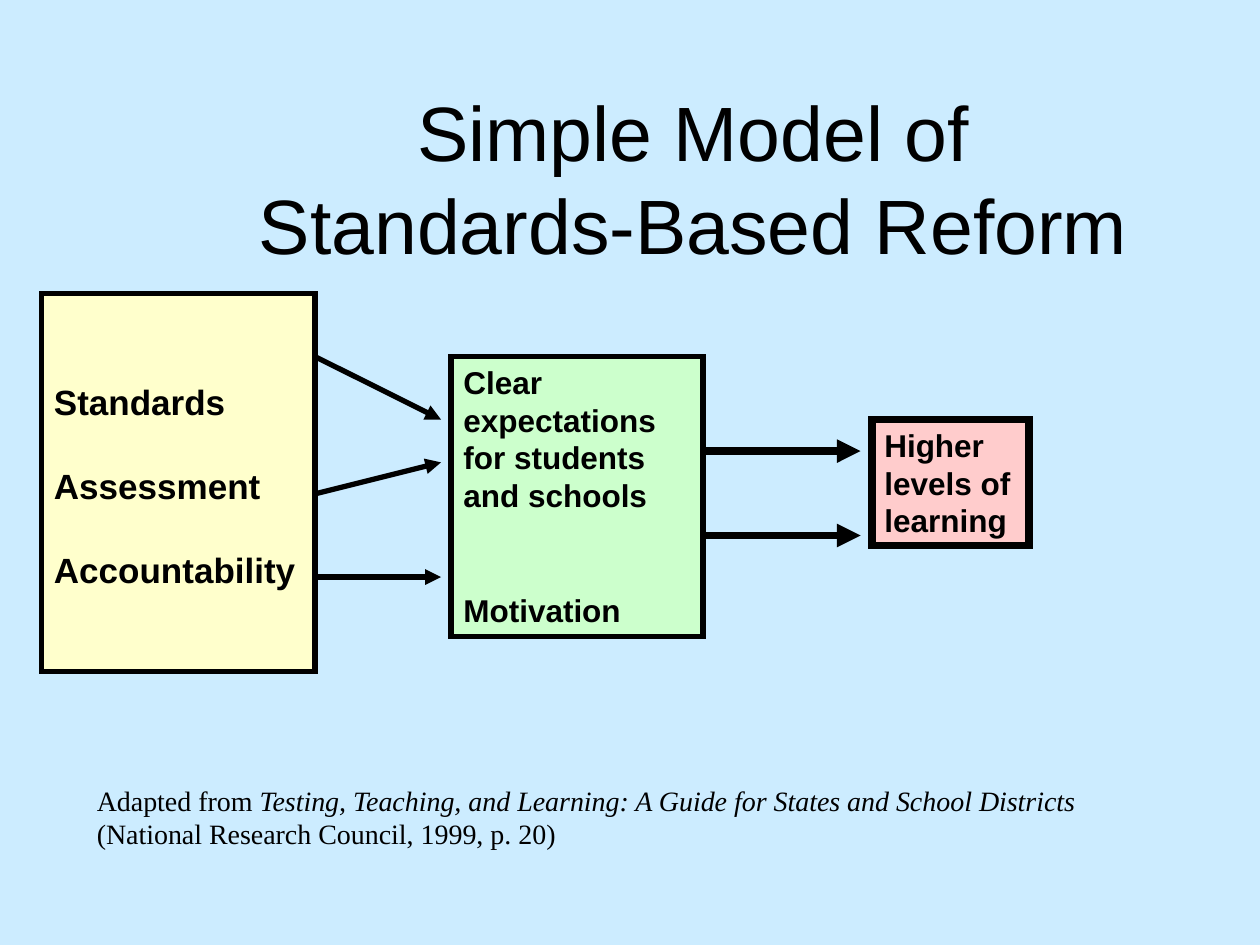
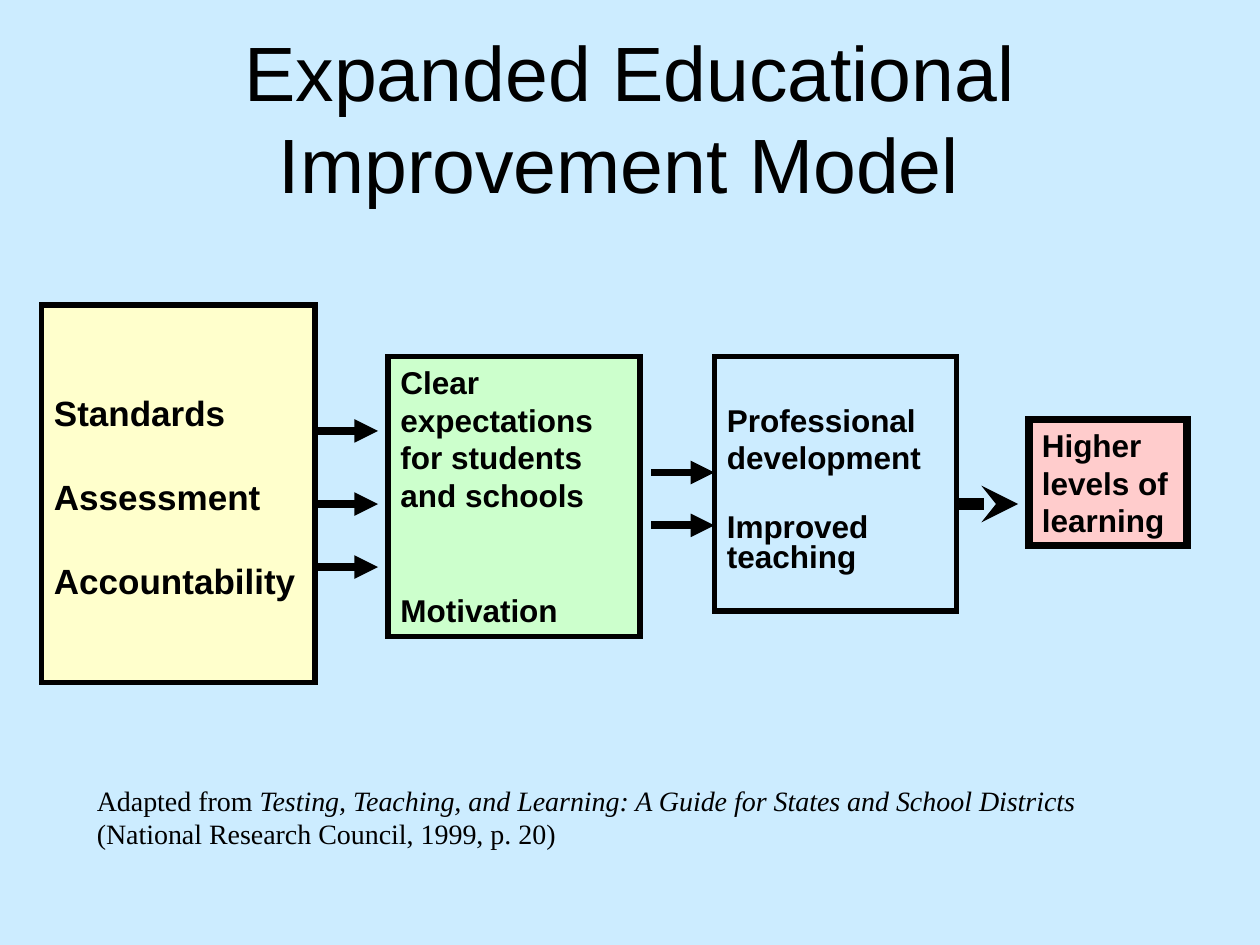
from lxml import etree
from pptx import Presentation
from pptx import util as u
from pptx.dml.color import RGBColor
from pptx.enum import shapes, text
from pptx.oxml.ns import qn

SKY, BLACK = "CCECFF", "000000"
YELLOW, GREEN, PINK = "FFFFCC", "CCFFCC", "FFCCCC"
TITLE = {"name": "Arial", "size": u.Pt(44), "bold": False}
LARGE = {"name": "Arial", "size": u.Pt(20), "bold": True}
BODY = {"name": "Arial", "size": u.Pt(18), "bold": True}
SOURCE = {"name": "Times New Roman", "size": u.Pt(16), "bold": False}


def paint(color, value):
    color.rgb = RGBColor.from_string(value)


def write(sp, paragraphs, fmt, top=0.05, leading=None):
    tf = sp.text_frame
    frame = {"word_wrap": True, "auto_size": text.MSO_AUTO_SIZE.NONE,
             "margin_left": u.Inches(0.1), "margin_right": u.Inches(0.1),
             "margin_top": u.Inches(top), "margin_bottom": u.Inches(0.05)}
    for key, value in frame.items():
        setattr(tf, key, value)
    for i, (runs, before, scale) in enumerate(paragraphs):
        p = tf.paragraphs[0] if i == 0 else tf.add_paragraph()
        p.alignment = text.PP_ALIGN.LEFT
        p.space_before = u.Pt(before)
        p.line_spacing = u.Pt(round((leading or fmt["size"].pt * 1.2) * scale, 1))
        for words, italic in runs:
            for n, line in enumerate(words.split("\n")):
                if n:
                    p.add_line_break()
                r = p.add_run()
                r.text = line
                r.font.italic = italic
                for key, value in fmt.items():
                    setattr(r.font, key, value)
                paint(r.font.color, BLACK)


inputs = [([("Standards", False)], 0, 1), ([("Assessment", False)], 24, 1),
          ([("Accountability", False)], 24, 1)]
effects = [([("Clear expectations for students and schools", False)], 0, 1),
           ([("Motivation", False)], 44, 1)]
practice = [([("Professional development", False)], 0, 1),
            ([("Improved teaching", False)], 21.6, 0.8)]
outcome = [([("Higher levels of learning", False)], 0, 1)]
source = [([("Adapted from ", False),
            ("Testing, Teaching, and Learning: A Guide for States and School Districts", True),
            (" (National Research Council, 1999, p. 20)", False)], 0, 1)]

slides = [
    {"title": "Simple Model of \nStandards-Based Reform ",
     "at": (1.33, 0.42, 8.52, 1.25), "title_top": 0.77,
     "boxes": [
         (0.33, 2.33, 2.17, 3, YELLOW, 3, inputs, LARGE, 0.69),
         (3.58, 2.83, 2, 2.22, GREEN, 3, effects, BODY, 0.05),
         (6.92, 3.33, 1.25, 1, PINK, 4.5, outcome, BODY, 0.05)],
     "arrows": [
         (2.5, 2.83, 3.5, 3.33, 3, "triangle"),
         (2.5, 3.92, 3.5, 3.67, 3, "triangle"),
         (2.5, 4.58, 3.5, 4.58, 3, "triangle")]
     + [(5.58, y, 6.83, y, 4.5, "triangle") for y in (3.58, 4.25)]},
    {"title": "Expanded Educational Improvement Model ",
     "at": (0.5, 0.3, 9, 1.25), "title_top": 0.05,
     "boxes": [
         (0.33, 2.42, 2.17, 3, YELLOW, 3, inputs, LARGE, 0.69),
         (3.08, 2.83, 2, 2.22, GREEN, 3, effects, BODY, 0.05),
         (5.67, 2.83, 1.92, 2.02, SKY, 3, practice, BODY, 0.35),
         (8.17, 3.33, 1.25, 1, PINK, 4.5, outcome, BODY, 0.05)],
     "arrows": [(2.5, y, 3, y, 4.5, "triangle") for y in (3.42, 4, 4.5)]
     + [(5.17, y, 5.67, y, 4.5, "triangle") for y in (3.75, 4.17)]
     + [(7.58, 4, 8.08, 4, 7, "stealth")]},
]

prs = Presentation()
prs.slide_width, prs.slide_height = u.Inches(10), u.Inches(7.5)
background = prs.slide_master.background.fill
background.solid()
paint(background.fore_color, SKY)

for page in slides:
    s = prs.slides.add_slide(prs.slide_layouts[5])
    title = s.shapes.title
    for key, value in zip(("left", "top", "width", "height"), page["at"]):
        setattr(title, key, u.Inches(value))
    write(title, [([(page["title"], False)], 0, 1)], TITLE, page["title_top"])
    title.text_frame.vertical_anchor = text.MSO_ANCHOR.MIDDLE
    title.text_frame.paragraphs[0].alignment = text.PP_ALIGN.CENTER

    for x, y, w, h, fill, weight, paragraphs, fmt, top in page["boxes"]:
        sp = s.shapes.add_shape(shapes.MSO_SHAPE.RECTANGLE, *map(u.Inches, (x, y, w, h)))
        sp.shadow.inherit = False
        sp.fill.solid()
        paint(sp.fill.fore_color, fill)
        paint(sp.line.color, BLACK)
        sp.line.width = u.Pt(weight)
        etree.SubElement(sp._element.spPr.find(qn("a:ln")), qn("a:miter"), lim="800000")
        write(sp, paragraphs, fmt, top)
        sp.text_frame.vertical_anchor = text.MSO_ANCHOR.TOP

    note = s.shapes.add_textbox(*map(u.Inches, (0.67, 6.17, 8.5, 0.64)))
    write(note, source, SOURCE, leading=18.9)

    for x1, y1, x2, y2, weight, head in page["arrows"]:
        arrow = s.shapes.add_connector(shapes.MSO_CONNECTOR.STRAIGHT,
                                       *map(u.Inches, (x1, y1, x2, y2)))
        paint(arrow.line.color, BLACK)
        arrow.line.width = u.Pt(weight)
        etree.SubElement(arrow._element.spPr.find(qn("a:ln")), qn("a:tailEnd"), type=head)
        etree.SubElement(arrow._element.spPr, qn("a:effectLst"))

prs.save("out.pptx")
